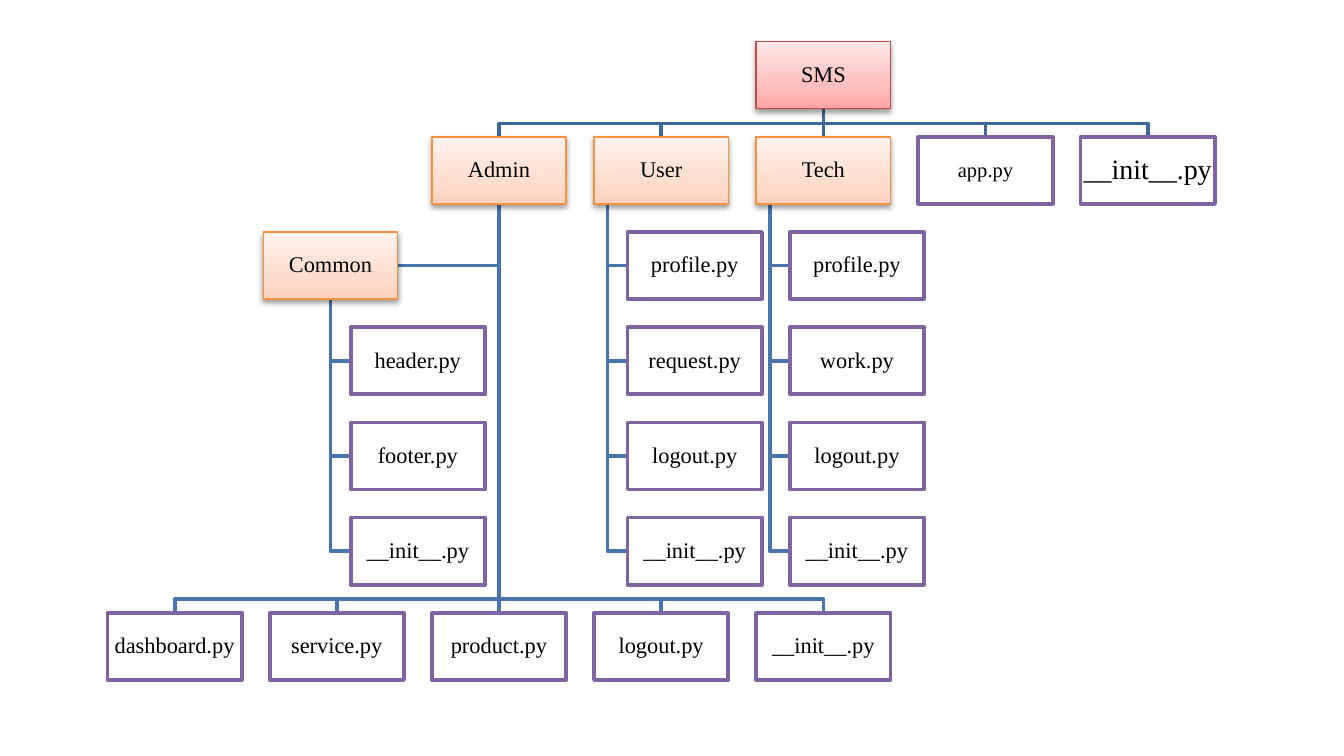
import dataclasses
import typing

import lxml.etree
import pptx
import pptx.dml.color
import pptx.enum.shapes
import pptx.enum.text
import pptx.oxml
import pptx.oxml.ns
import pptx.util

Inches = pptx.util.Inches
Pt = pptx.util.Pt
qn = pptx.oxml.ns.qn

COLORS = {
    "text": "000000",
    "white": "FFFFFF",
    "root_line": "BF4C48",
    "package_line": "F69240",
    "file_line": "8064A2",
    "root_link": "3F6797",
    "link": "4875AC",
}
GRADIENTS = {
    "root": {0: "FFA6A5", 35: "FFC0BF", 100: "FFE7E7"},
    "package": {0: "FFD2BD", 35: "FFDED0", 100: "FFF2ED"},
}
FONT = "Times New Roman"
BOX_W, BOX_H = 1, 0.5
COLUMNS = [0.8 + i * (8.04 - 0.8) / 6 for i in range(7)]
ROWS = [0.31 + i * (4.56 - 0.31) / 6 for i in range(7)]
BUS_GAP = 0.1  # from a horizontal bus down to the boxes under it
TWIG = 0.15  # from a vertical stem to the boxes beside it

Point = tuple[float, float]


@dataclasses.dataclass
class Box:
    label: str
    x: float
    y: float
    kind: str = "file"
    size: float = 12

    @property
    def center_x(self) -> float:
        return self.x + BOX_W / 2

    @property
    def middle_y(self) -> float:
        return self.y + BOX_H / 2

    @property
    def bottom(self) -> float:
        return self.y + BOX_H


class Link(typing.NamedTuple):
    points: list[Point]
    color: str = "link"


def rgb(name: str) -> pptx.dml.color.RGBColor:
    return pptx.dml.color.RGBColor.from_string(COLORS[name])


def fan(parent: Box, children: list[Box], color: str = "link") -> list[Link]:
    """Links from a parent to a row of boxes below it, through a bus."""
    links = []
    for child in children:
        points = [(parent.center_x, parent.bottom), (child.center_x, child.y)]
        if child.x != parent.x:
            bus_y = child.y - BUS_GAP
            points[1:1] = [(parent.center_x, bus_y), (child.center_x, bus_y)]
        links.append(Link(points, color))
    return links


def hang(parent: Box, stem_x: float, labels: list[str],
         first_row: int) -> tuple[list[Box], list[Link]]:
    """A column of files hanging from a vertical stem, and its links."""
    boxes = [Box(label, stem_x + TWIG, ROWS[first_row + i])
             for i, label in enumerate(labels)]
    links = [Link([(stem_x, parent.bottom), (stem_x, b.middle_y), (b.x, b.middle_y)])
             for b in boxes]
    return boxes, links


def draw_link(slide: pptx.slide.Slide, link: Link) -> None:
    points = [(Inches(x), Inches(y)) for x, y in link.points]
    if len(points) == 2:
        s = slide.shapes.add_connector(
            pptx.enum.shapes.MSO_CONNECTOR.STRAIGHT, *points[0], *points[1])
        lxml.etree.SubElement(s._element.spPr, qn("a:effectLst"))
    else:
        builder = slide.shapes.build_freeform(*points[0])
        builder.add_line_segments(points[1:], close=False)
        s = builder.convert_to_shape()
        s.fill.background()
        s.shadow.inherit = False
    s.line.color.rgb = rgb(link.color)
    s.line.width = Pt(2)


def style_raised(s: pptx.shapes.autoshape.Shape, stops: dict[int, str]) -> None:
    """Give a box an upward gradient and a soft shadow below."""
    s.fill.gradient()
    s.fill.gradient_angle = 90
    stop_list = s._element.spPr.find(".//" + qn("a:gsLst"))
    for stop in list(stop_list):
        stop_list.remove(stop)
    for percent, color in stops.items():
        stop = lxml.etree.SubElement(stop_list, qn("a:gs"), pos=str(percent * 1000))
        lxml.etree.SubElement(stop, qn("a:srgbClr"), val=color)
    effects = s._element.spPr.find(qn("a:effectLst"))
    shadow = lxml.etree.SubElement(
        effects, qn("a:outerShdw"), blurRad=str(Pt(3.1)), dist=str(Pt(1.6)),
        dir="5400000", rotWithShape="0")
    color = lxml.etree.SubElement(shadow, qn("a:srgbClr"), val="000000")
    lxml.etree.SubElement(color, qn("a:alpha"), val="38000")


def draw_box(slide: pptx.slide.Slide, box: Box) -> None:
    s = slide.shapes.add_shape(
        pptx.enum.shapes.MSO_SHAPE.RECTANGLE,
        Inches(box.x), Inches(box.y), Inches(BOX_W), Inches(BOX_H))
    s.shadow.inherit = False
    s.line.color.rgb = rgb(box.kind + "_line")
    if box.kind in GRADIENTS:
        style_raised(s, GRADIENTS[box.kind])
        s.line.width = Pt(0.75)
    else:
        s.fill.solid()
        s.fill.fore_color.rgb = rgb("white")
        s.line.width = Pt(2)
    tf = s.text_frame
    tf.word_wrap = True
    tf.vertical_anchor = pptx.enum.text.MSO_ANCHOR.MIDDLE
    tf.margin_left = tf.margin_right = tf.margin_top = tf.margin_bottom = Inches(0.01)
    p = tf.paragraphs[0]
    p.alignment = pptx.enum.text.PP_ALIGN.CENTER
    p.line_spacing = 0.9
    r = p.add_run()
    r.text = box.label
    r.font.name = FONT
    r.font.size = Pt(box.size)
    r.font.color.rgb = rgb("text")


def main() -> None:
    prs = pptx.Presentation()
    prs.slide_width = Inches(10)
    prs.slide_height = Inches(10 * 9 / 16)
    slide = prs.slides.add_slide(prs.slide_layouts[6])

    root = Box("SMS", COLUMNS[4], ROWS[0], "root")
    admin, user, tech = packages = [
        Box(label, COLUMNS[i], ROWS[1], "package")
        for i, label in enumerate(["Admin", "User", "Tech"], start=2)]
    root_files = [Box("app.py", COLUMNS[5], ROWS[1], size=11),
                  Box("__init__.py", COLUMNS[6], ROWS[1], size=15)]
    common = Box("Common", 1.96, ROWS[2], "package")
    admin_files = [
        Box(label, x, ROWS[6]) for x, label in zip(COLUMNS, [
            "dashboard.py", "service.py", "product.py", "logout.py", "__init__.py"])]

    boxes = [root, *packages, *root_files, common, *admin_files]
    links = fan(root, packages + root_files, "root_link") + fan(admin, admin_files)
    links.append(Link([(admin.center_x, admin.bottom),
                       (admin.center_x, common.middle_y),
                       (common.x + BOX_W, common.middle_y)]))
    for parent, stem_x, labels, first_row in [
        (common, common.center_x, ["header.py", "footer.py", "__init__.py"], 3),
        (user, user.x + 0.1, ["profile.py", "request.py", "logout.py", "__init__.py"], 2),
        (tech, tech.x + 0.1, ["profile.py", "work.py", "logout.py", "__init__.py"], 2),
    ]:
        files, file_links = hang(parent, stem_x, labels, first_row)
        boxes += files
        links += file_links

    for link in links:
        draw_link(slide, link)
    for box in boxes:
        draw_box(slide, box)
    prs.save("out.pptx")


if __name__ == "__main__":
    main()
